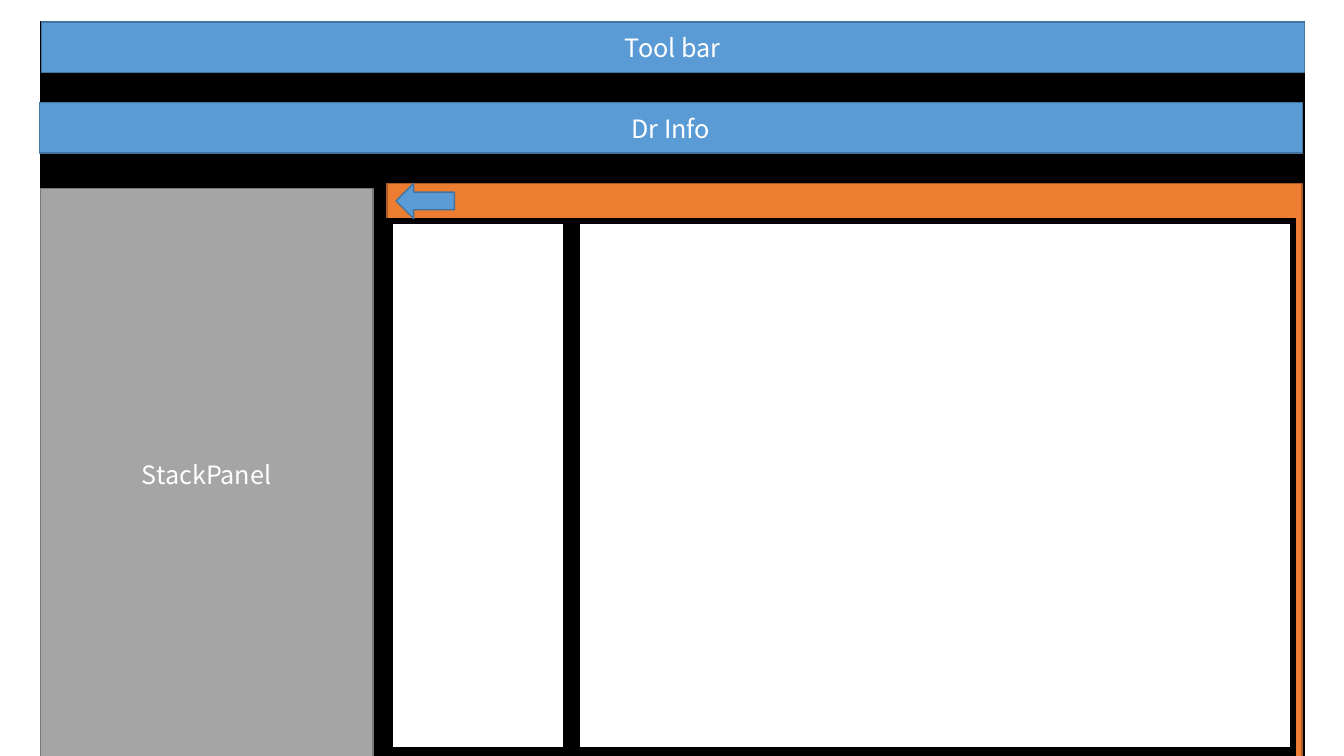
"""Build a wireframe slide of an application window with its panels."""
import pptx
import pptx.dml.color
import pptx.enum.shapes
import pptx.enum.text
import pptx.util

Cm = pptx.util.Cm
Pt = pptx.util.Pt
RECTANGLE = pptx.enum.shapes.MSO_SHAPE.RECTANGLE
LEFT_ARROW = pptx.enum.shapes.MSO_SHAPE.LEFT_ARROW


def color(hex_string):
    return pptx.dml.color.RGBColor.from_string(hex_string)


def add_panel(shapes, kind, box, fill, border, label=""):
    panel = shapes.add_shape(kind, *[Cm(length) for length in box])
    panel.shadow.inherit = False
    panel.fill.solid()
    panel.fill.fore_color.rgb = color(fill)
    panel.line.color.rgb = color(border)
    panel.line.width = Pt(1)
    if label:
        panel.text_frame.vertical_anchor = pptx.enum.text.MSO_ANCHOR.MIDDLE
        paragraph = panel.text_frame.paragraphs[0]
        paragraph.alignment = pptx.enum.text.PP_ALIGN.CENTER
        run = paragraph.add_run()
        run.text = label
        label_format = {"name": "Noto Sans CJK KR", "size": Pt(18)}
        for attribute, value in label_format.items():
            setattr(run.font, attribute, value)
        run.font.color.rgb = color("FFFFFF")


presentation = pptx.Presentation()
presentation.slide_width = Cm(33.87)
presentation.slide_height = Cm(19.05)
slide = presentation.slides.add_slide(presentation.slide_layouts[6])

black = ("000000", "000000")
blue = ("5B9BD5", "43739E")
gray = ("A5A5A5", "7A7A7A")
orange = ("ED7D31", "AF5C24")
white = ("FFFFFF", "000000")

window_panels = [
    ((1.02, 0.56, 31.85, 18.49), black, ""),
    ((1.04, 0.56, 31.83, 1.27), blue, "Tool bar"),
    ((1.02, 4.75, 8.38, 14.43), gray, "StackPanel"),
    ((0.99, 2.59, 31.83, 1.27), blue, "Dr Info"),
    ((9.75, 4.62, 23.06, 14.6), orange, ""),
]
for box, (fill, border), label in window_panels:
    add_panel(slide.shapes, RECTANGLE, box, fill, border, label)

content_area = slide.shapes.add_group_shape()
content_panels = [
    ((9.75, 5.51, 22.89, 13.54), black),
    ((9.88, 5.64, 4.34, 13.21), white),
    ((14.6, 5.64, 17.93, 13.21), white),
]
for box, (fill, border) in content_panels:
    add_panel(content_area.shapes, RECTANGLE, box, fill, border)

add_panel(slide.shapes, LEFT_ARROW, (9.98, 4.62, 1.47, 0.89), *blue)

presentation.save("out.pptx")
